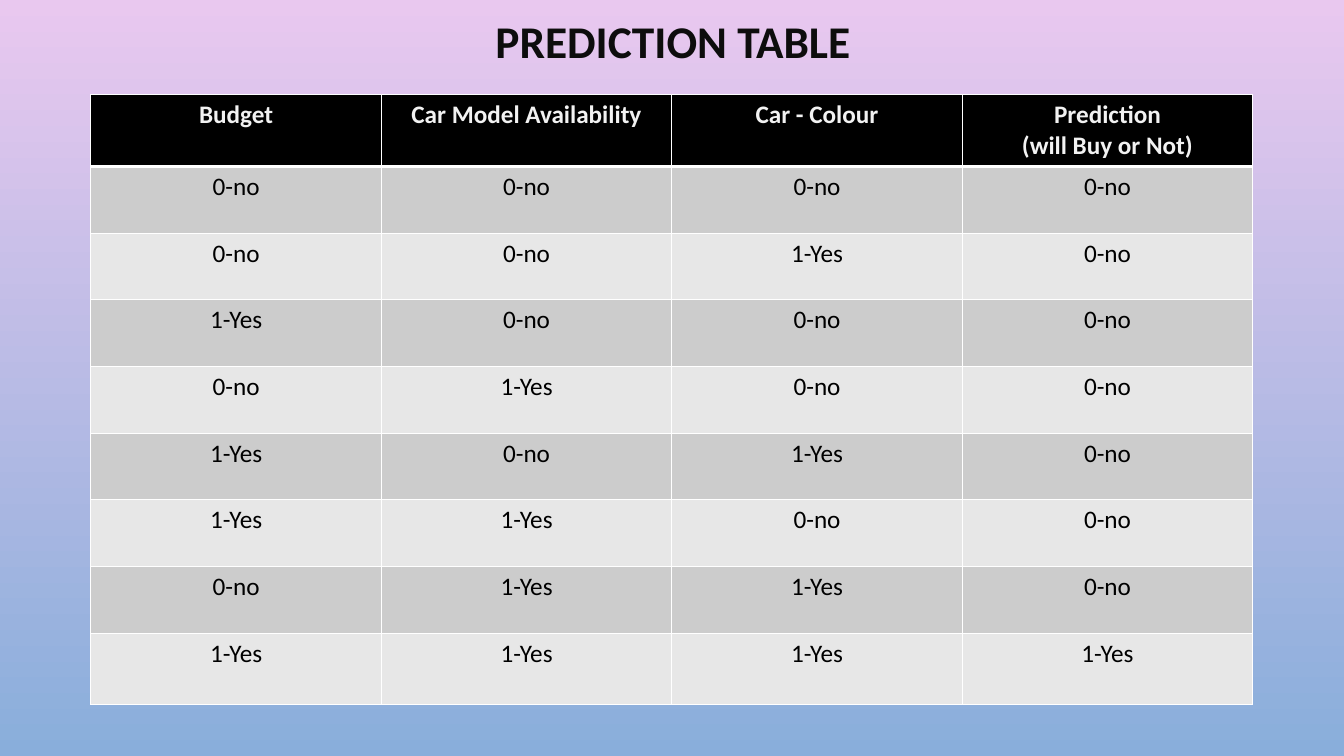
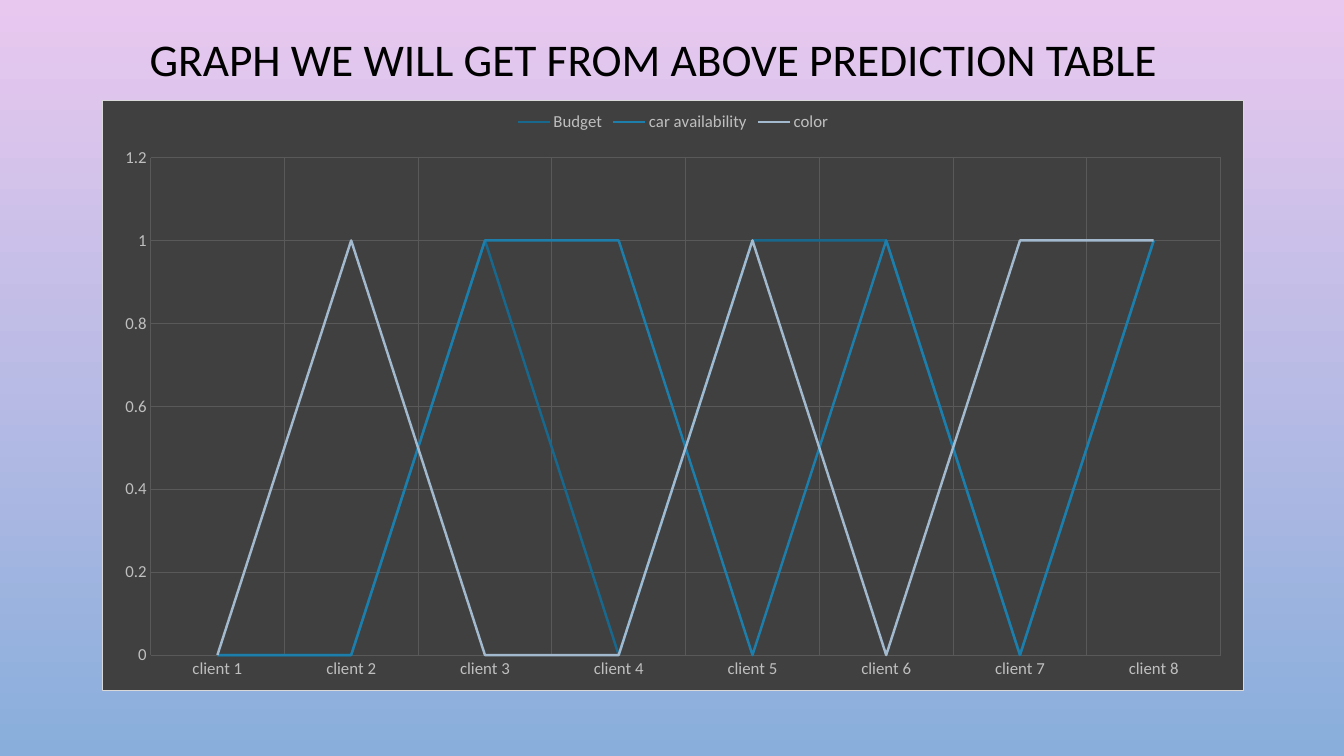
from dataclasses import dataclass

from lxml.etree import SubElement
from pptx import Presentation
from pptx.chart.data import CategoryChartData as ChartData
from pptx.dml.color import RGBColor as RGB
from pptx.enum.chart import XL_CHART_TYPE as Kind
from pptx.enum.chart import XL_LEGEND_POSITION as Place
from pptx.enum.chart import XL_TICK_MARK as Tick
from pptx.enum.text import MSO_ANCHOR as Anchor
from pptx.enum.text import PP_ALIGN as Align
from pptx.oxml import parse_xml
from pptx.oxml.ns import nsdecls, qn
from pptx.util import Cm, Pt


@dataclass(frozen=True)
class Theme:
    font: str = "Calibri"
    black: str = "000000"
    ink: str = "0D0D0D"
    white: str = "FFFFFF"
    pale: str = "F2F2F2"
    bands: tuple = ("CCCCCC", "E7E7E7")
    sky: tuple = ("E9C8EF", "89AEDB")
    panel: str = "404040"
    edge: str = "D9D9D9"
    grid: str = "595959"
    label: str = "BFBFBF"
    lines: tuple = ("18688E", "1D7EAB", "A2B9CE")
    title: float = 32.4
    body: float = 18
    small: float = 12


T = Theme()

HEADS = ("Budget", "Car Model Availability", "Car - Colour",
         "Prediction\n(will Buy or Not)")
# One digit per column: 0 is no, 1 is yes
CASES = ("0000", "0010", "1000", "0100", "1010", "1100", "0110", "1111")
WORDS = {"0": "0-no", "1": "1-Yes"}
SERIES = {
    "Budget": (0, 0, 1, 0, 1, 1, 0, 1),
    "car availability": (0, 0, 1, 1, 0, 1, 0, 1),
    "color": (0, 1, 0, 0, 1, 0, 1, 1),
}


def style(font, size, color, bold=False):
    font.name, font.size, font.bold = T.font, Pt(size), bold
    font.color.rgb = RGB.from_string(color)


def write(frame, text, *, size=T.body, color=T.black, bold=False,
          align=Align.CENTER, space=None):
    """Fill a text frame, one paragraph per line of text."""
    frame.text = text
    for par in frame.paragraphs:
        par.alignment, par.line_spacing = align, space
        for run in par.runs:
            style(run.font, size, color, bold)


def stroke(line, color, width):
    line.color.rgb = RGB.from_string(color)
    line.width = Pt(width)


# Shared background and titles
def paint(master):
    fill = master.background.fill
    fill.gradient()
    fill.gradient_angle = 270
    for stop, color, pos in zip(fill.gradient_stops, T.sky, (0, 1)):
        stop.color.rgb = RGB.from_string(color)
        stop.position = pos


def add_slide(prs, text, box, **form):
    slide = prs.slides.add_slide(prs.slide_layouts[5])
    title = slide.shapes.title
    title.left, title.top, title.width, title.height = map(Cm, box)
    title.text_frame.vertical_anchor = Anchor.MIDDLE
    write(title.text_frame, text, size=T.title, space=0.9, **form)
    return slide


# Table
def border(cell, **widths):
    props = cell._tc.get_or_add_tcPr()
    for side in "LRTB":
        line = SubElement(props, qn(f"a:ln{side}"),
                          w=str(Pt(widths.get(side, 1))))
        fill = SubElement(line, qn("a:solidFill"))
        SubElement(fill, qn("a:srgbClr"), val=T.white)


def add_cell(cell, text, back, widths, **form):
    border(cell, **widths)
    cell.fill.solid()
    cell.fill.fore_color.rgb = RGB.from_string(back)
    write(cell.text_frame, text, **form)


def add_grid(slide, left, top, wide, highs):
    table = slide.shapes.add_table(
        len(highs), len(HEADS), Cm(left), Cm(top),
        Cm(wide * len(HEADS)), Cm(sum(highs))).table
    for col in table.columns:
        col.width = Cm(wide)
    for row, high in zip(table.rows, highs):
        row.height = Cm(high)
    for c, head in enumerate(HEADS):
        add_cell(table.cell(0, c), head, T.black, {"B": 3},
                 color=T.pale, bold=True)
    for r, case in enumerate(CASES):
        for c, mark in enumerate(case):
            add_cell(table.cell(r + 1, c), WORDS[mark], T.bands[r % 2],
                     {"T": 1 if r else 3})


# Chart
def add_panel(chart):
    """Give the chart area its fill and border."""
    panel = parse_xml(
        f'<c:spPr {nsdecls("c", "a")}>'
        f'<a:solidFill><a:srgbClr val="{T.panel}"/></a:solidFill>'
        f'<a:ln w="{Pt(0.75)}"><a:solidFill><a:srgbClr val="{T.edge}"/>'
        '</a:solidFill></a:ln></c:spPr>')
    chart.element.find(qn("c:chart")).addnext(panel)


def set_axis(axis):
    axis.major_tick_mark = axis.minor_tick_mark = Tick.NONE
    axis.format.line.fill.background()
    axis.has_major_gridlines = True
    stroke(axis.major_gridlines.format.line, T.grid, 0.75)
    style(axis.tick_labels.font, T.small, T.label)


def add_graph(slide, box):
    data = ChartData()
    data.categories = [f"client {n}" for n in range(1, len(CASES) + 1)]
    for name, vals in SERIES.items():
        data.add_series(name, vals)
    chart = slide.shapes.add_chart(Kind.LINE, *map(Cm, box), data).chart
    chart.has_title = False
    style(chart.font, T.small, T.label)
    add_panel(chart)

    chart.has_legend = True
    chart.legend.position = Place.TOP
    chart.legend.include_in_layout = False
    style(chart.legend.font, T.small, T.label)

    scale = chart.value_axis
    for axis in (chart.category_axis, scale):
        set_axis(axis)
    scale.minimum_scale, scale.maximum_scale = 0, 1.2
    scale.major_unit = 0.2

    plot = chart.plots[0]
    plot.vary_by_categories = False
    for line, color in zip(plot.series, T.lines):
        line.smooth = False
        stroke(line.format.line, color, 1.75)


def main():
    prs = Presentation()
    prs.slide_width, prs.slide_height = Cm(33.87), Cm(19.05)
    paint(prs.slide_master)

    slide = add_slide(prs, "PREDICTION TABLE", (2.57, 0.33, 28.78, 1.57),
                      color=T.ink, bold=True)
    add_grid(slide, 2.29, 2.39, 7.32, [1.8] + [1.68] * 7 + [1.8])

    slide = add_slide(prs, "GRAPH WE WILL GET FROM ABOVE PREDICTION TABLE",
                      (2.08, 0.64, 28.78, 1.85))
    add_graph(slide, (2.57, 2.52, 28.78, 14.9))

    prs.save("out.pptx")


if __name__ == "__main__":
    main()
